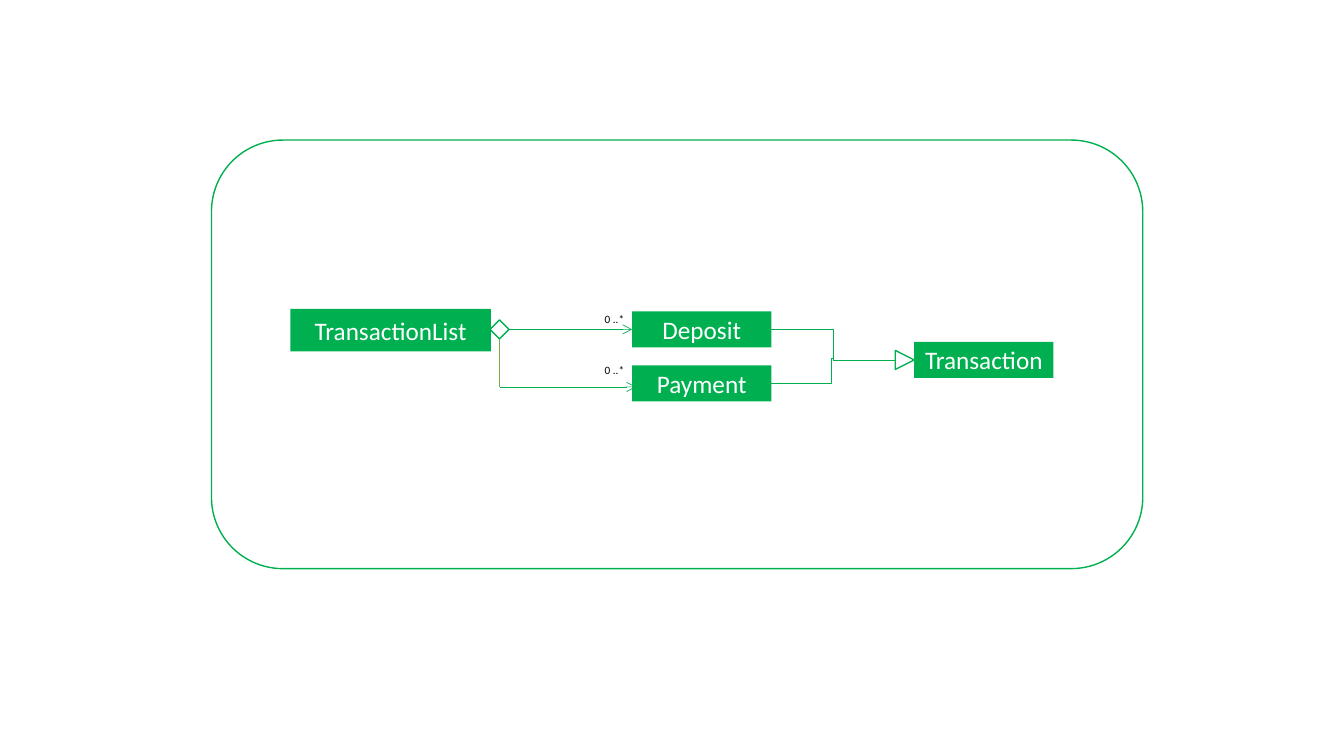
from dataclasses import dataclass

from lxml import etree
from pptx import Presentation
from pptx.dml.color import RGBColor
from pptx.enum.shapes import MSO_CONNECTOR, MSO_SHAPE
from pptx.enum.text import MSO_ANCHOR, PP_ALIGN
from pptx.oxml.ns import qn
from pptx.util import Cm, Pt

STRAIGHT, ELBOW = MSO_CONNECTOR.STRAIGHT, MSO_CONNECTOR.ELBOW
ROUNDED, RECTANGLE = MSO_SHAPE.ROUNDED_RECTANGLE, MSO_SHAPE.RECTANGLE
DIAMOND, TRIANGLE = MSO_SHAPE.DIAMOND, MSO_SHAPE.ISOSCELES_TRIANGLE
MIDDLE, CENTER = MSO_ANCHOR.MIDDLE, PP_ALIGN.CENTER
LEFT_SIDE, RIGHT_SIDE = 1, 3


@dataclass(frozen=True)
class Theme:
    font: str = "Calibri"
    green: RGBColor = RGBColor(0x00, 0xB0, 0x50)
    light_green: RGBColor = RGBColor(0x70, 0xAD, 0x47)
    white: RGBColor = RGBColor(0xFF, 0xFF, 0xFF)
    black: RGBColor = RGBColor(0x00, 0x00, 0x00)
    class_size: int = 18
    label_size: int = 8
    outline: float = 1
    relation: float = 0.5


class ClassDiagram:
    def __init__(self, slide, theme):
        self.slide = slide
        self.theme = theme

    def set_text(self, shape, text, size, color):
        paragraph = shape.text_frame.paragraphs[0]
        paragraph.text = text
        paragraph.font.name = self.theme.font
        paragraph.font.size = Pt(size)
        paragraph.font.color.rgb = color
        return paragraph

    def outlined(self, kind, left, top, width, height, fill=None, rotation=0):
        shape = self.slide.shapes.add_shape(kind, Cm(left), Cm(top), Cm(width), Cm(height))
        shape.shadow.inherit = False
        shape.rotation = rotation
        if fill is None:
            shape.fill.background()
        else:
            shape.fill.solid()
            shape.fill.fore_color.rgb = fill
        shape.line.color.rgb = self.theme.green
        shape.line.width = Pt(self.theme.outline)
        return shape

    def class_box(self, name, left, middle, width=3.51, height=0.91):
        shape = self.outlined(RECTANGLE, left, middle - height / 2, width, height, self.theme.green)
        shape.line.fill.background()
        frame = shape.text_frame
        frame.margin_left = frame.margin_right = 0
        frame.vertical_anchor = MIDDLE
        self.set_text(shape, name, self.theme.class_size, self.theme.white).alignment = CENTER
        return shape

    def multiplicity(self, text, left, top):
        box = self.slide.shapes.add_textbox(Cm(left), Cm(top), Cm(1.3), Cm(0.6))
        box.text_frame.word_wrap = True
        self.set_text(box, text, self.theme.label_size, self.theme.black)

    def relation(self, start, end, kind=STRAIGHT, color=None, arrow=False, bend=None):
        connector = self.slide.shapes.add_connector(kind, *map(Cm, start + end))
        connector.line.color.rgb = color or self.theme.green
        connector.line.width = Pt(self.theme.relation)
        properties = connector._element.spPr
        if arrow:
            etree.SubElement(properties.find(qn("a:ln")), qn("a:tailEnd"), type="arrow")
        etree.SubElement(properties, qn("a:effectLst"))
        if bend is not None:
            adjustments = properties.find(qn("a:prstGeom")).find(qn("a:avLst"))
            etree.SubElement(adjustments, qn("a:gd"), name="adj1", fmla=f"val {round(bend * 100000)}")
        return connector


def main():
    presentation = Presentation()
    presentation.slide_width, presentation.slide_height = Cm(33.87), Cm(19.05)
    slide = presentation.slides.add_slide(presentation.slide_layouts[6])
    theme = Theme()
    diagram = ClassDiagram(slide, theme)

    # Row centres and column edges
    deposit_y, payment_y, transaction_y = 8.3, 9.66, 9.07
    child_left, child_right = 15.93, 19.44
    marker, diamond_left, triangle_left = 0.48, 12.35, 22.56
    diamond_x = diamond_left + marker / 2
    join_x = 20.98

    # Frame and classes
    diagram.outlined(ROUNDED, 5.33, 3.53, 23.47, 10.8, theme.white)
    diagram.class_box("TransactionList", 7.32, deposit_y + 0.02, 5.05, 1.07)
    deposit = diagram.class_box("Deposit", child_left, deposit_y)
    diagram.class_box("Payment", child_left, payment_y)
    diagram.class_box("Transaction", 23.04, transaction_y)

    # Aggregation and inheritance markers
    diamond = diagram.outlined(DIAMOND, diamond_left, deposit_y - marker / 2, marker, marker)
    diagram.outlined(TRIANGLE, triangle_left, transaction_y - marker / 2, marker, marker, rotation=90)

    # Aggregation from the list to its items
    to_deposit = diagram.relation((diamond_left + marker, deposit_y), (child_left, deposit_y), arrow=True)
    to_deposit.begin_connect(diamond, RIGHT_SIDE)
    to_deposit.end_connect(deposit, LEFT_SIDE)
    payment_line_y = 9.75
    diagram.relation((diamond_x, payment_line_y), (16.03, payment_line_y), arrow=True)
    diagram.relation((diamond_x, deposit_y + marker / 2), (diamond_x, payment_line_y),
                     color=theme.light_green)
    for top in (7.75, 9.04):
        diagram.multiplicity("0 ..*", 14.99, top)

    # Inheritance from Transaction
    diagram.relation((child_right, deposit_y), (triangle_left, transaction_y), ELBOW)
    stub = diagram.relation((child_right, deposit_y), (join_x, deposit_y))
    stub.begin_connect(deposit, RIGHT_SIDE)
    diagram.relation((child_right, payment_y), (join_x, 9.04), ELBOW, bend=0.99)

    presentation.save("out.pptx")


if __name__ == "__main__":
    main()
